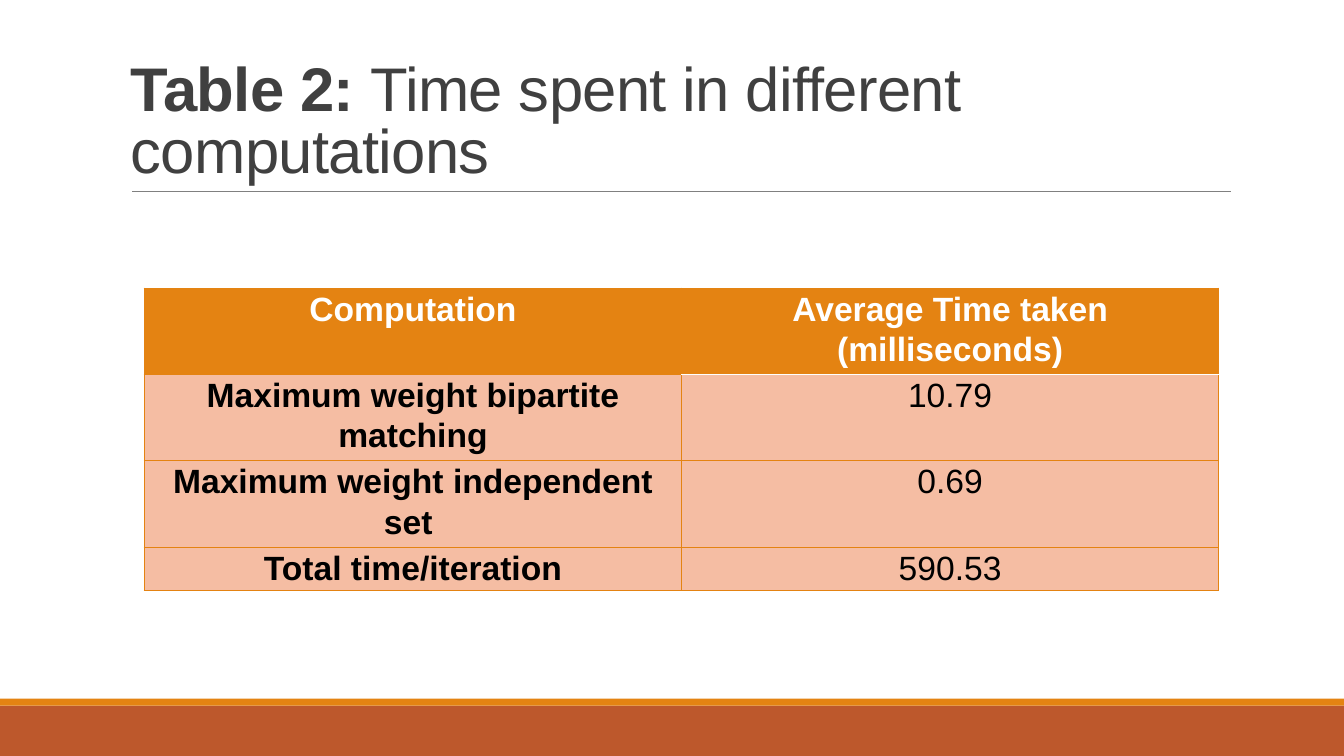
from dataclasses import dataclass

from lxml.etree import SubElement
from pptx import Presentation
from pptx.dml.color import RGBColor
from pptx.enum.shapes import MSO_CONNECTOR, MSO_SHAPE
from pptx.enum.text import MSO_ANCHOR, PP_ALIGN
from pptx.oxml.ns import qn
from pptx.util import Inches, Pt


@dataclass(frozen=True)
class Theme:
    font: str = "Arial"
    title_size: float = 44
    table_size: float = 24
    title_color: str = "404040"
    rule_color: str = "808080"
    accent: str = "E48312"
    footer: str = "BD582C"
    body_fill: str = "F5BDA3"
    light: str = "FFFFFF"
    dark: str = "000000"
    rule_width: float = 0.5
    border_width: float = 1
    header_border_width: float = 1.25


@dataclass(frozen=True)
class Band:
    top: float
    height: float
    color: str


@dataclass(frozen=True)
class TableRow:
    label: str
    value: str
    height: float
    is_header: bool = False


THEME = Theme()
WIDTH, HEIGHT = Inches(13.333), Inches(7.5)
GRID = 100
BANDS = [Band(93.33, 6.67, THEME.footer), Band(92.4, 0.93, THEME.accent)]
ROWS = [
    TableRow("Computation", "Average Time taken (milliseconds)", 10.58, True),
    TableRow("Maximum weight bipartite matching", "10.79", 10.58),
    TableRow("Maximum weight independent set ", "0.69", 10.58),
    TableRow("Total time/iteration", "590.53", 5.33),
]


def across(columns: float) -> int:
    return round(WIDTH * columns / GRID)


def down(rows: float) -> int:
    return round(HEIGHT * rows / GRID)


def color(value: str) -> RGBColor:
    return RGBColor.from_string(value)


def draw_band(slide, band: Band) -> None:
    shape = slide.shapes.add_shape(
        MSO_SHAPE.RECTANGLE, 0, down(band.top), WIDTH, down(band.height)
    )
    shape.shadow.inherit = False
    shape.fill.solid()
    shape.fill.fore_color.rgb = color(band.color)
    shape.line.fill.background()


def draw_rule(slide) -> None:
    rule = slide.shapes.add_connector(
        MSO_CONNECTOR.STRAIGHT, across(9.83), down(25.33), across(91.58), down(25.33)
    )
    rule.line.color.rgb = color(THEME.rule_color)
    rule.line.width = Pt(THEME.rule_width)
    SubElement(rule._element.spPr, qn("a:effectLst"))


def draw_title(slide) -> None:
    box = slide.shapes.add_textbox(across(9), down(4.13), across(82.5), down(21.2))
    frame = box.text_frame
    frame.word_wrap = True
    frame.vertical_anchor = MSO_ANCHOR.BOTTOM
    paragraph = frame.paragraphs[0]
    paragraph.line_spacing = 0.85
    paragraph.font.name = THEME.font
    paragraph.font.size = Pt(THEME.title_size)
    paragraph.font.color.rgb = color(THEME.title_color)
    for text, bold in (("Table 2: ", True), ("Time spent in different computations", False)):
        run = paragraph.add_run()
        run.text = text
        run.font.bold = bold
        run._r.get_or_add_rPr().set("spc", "-50")


def add_border(cell, side: str, line_color: str, width: float) -> None:
    line = SubElement(cell._tc.get_or_add_tcPr(), qn(f"a:ln{side}"), w=str(Pt(width)))
    fill = SubElement(line, qn("a:solidFill"))
    SubElement(fill, qn("a:srgbClr"), val=line_color)


def fill_cell(cell, text: str, row: int, column: int) -> None:
    is_header = ROWS[row].is_header
    for side in "LRTB":
        if column == 1 and (row, side) in ((0, "B"), (1, "T")):
            add_border(cell, side, THEME.light, THEME.header_border_width)
        else:
            add_border(cell, side, THEME.accent, THEME.border_width)
    cell.fill.solid()
    cell.fill.fore_color.rgb = color(THEME.accent if is_header else THEME.body_fill)
    cell.margin_left = cell.margin_right = Inches(0.07)
    cell.margin_top = cell.margin_bottom = 0
    cell.text = text
    paragraph = cell.text_frame.paragraphs[0]
    paragraph.alignment = PP_ALIGN.CENTER
    paragraph.line_spacing = 1.07
    paragraph.space_after = Pt(8)
    paragraph.font.name = THEME.font
    paragraph.font.size = Pt(THEME.table_size)
    paragraph.font.bold = is_header or column == 0
    paragraph.font.color.rgb = color(THEME.light if is_header else THEME.dark)


def draw_table(slide) -> None:
    table = slide.shapes.add_table(
        len(ROWS), 2, across(10.74), down(38.13), across(79.94),
        down(sum(row.height for row in ROWS)),
    ).table
    table.horz_banding = False
    for index, row in enumerate(ROWS):
        table.rows[index].height = down(row.height)
        for column, text in enumerate((row.label, row.value)):
            fill_cell(table.cell(index, column), text, index, column)


def main() -> None:
    presentation = Presentation()
    presentation.slide_width, presentation.slide_height = WIDTH, HEIGHT
    slide = presentation.slides.add_slide(presentation.slide_layouts[6])
    for band in BANDS:
        draw_band(slide, band)
    draw_rule(slide)
    draw_title(slide)
    draw_table(slide)
    presentation.save("out.pptx")


if __name__ == "__main__":
    main()
